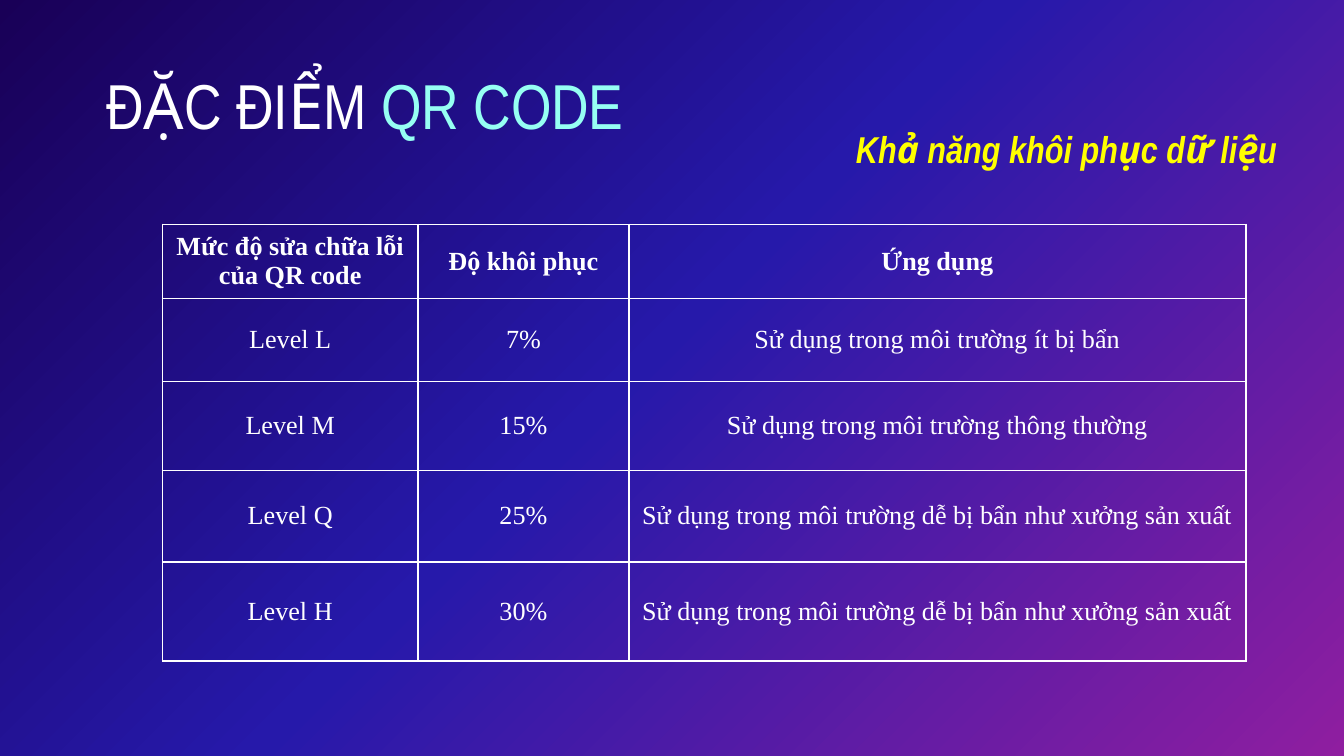
from copy import deepcopy
from lxml.etree import SubElement
from pptx import Presentation
from pptx.dml.color import RGBColor
from pptx.enum.lang import MSO_LANGUAGE_ID
from pptx.enum.text import MSO_ANCHOR, PP_ALIGN
from pptx.oxml.ns import qn
from pptx.util import Inches, Pt

COLORS = {
    "white": "FFFFFF",
    "aqua": "96FFF3",
    "yellow": "FFFF00",
    "night": "190057",
    "blue": "2619AA",
    "purple": "8F1EA0",
}
NARROW = {"name": "Arial Narrow", "language_id": MSO_LANGUAGE_ID.VIETNAMESE}
HEADING = {**NARROW, "size": Pt(34), "bold": False}
SUBTITLE = {**NARROW, "size": Pt(20), "bold": True, "italic": True}
CELL = {"name": "Times New Roman", "size": Pt(14)}


def add_run(paragraph, text, color, formats):
    run = paragraph.add_run()
    run.text = text
    run.font.color.rgb = RGBColor.from_string(COLORS[color])
    for attribute, value in formats.items():
        setattr(run.font, attribute, value)


def set_frame(frame, horizontal, vertical, anchor):
    formats = {
        "margin_left": Inches(horizontal),
        "margin_right": Inches(horizontal),
        "margin_top": Inches(vertical),
        "margin_bottom": Inches(vertical),
        "vertical_anchor": anchor,
    }
    for attribute, value in formats.items():
        setattr(frame, attribute, value)


presentation = Presentation()
presentation.slide_width = Inches(10)
presentation.slide_height = Inches(10) * 9 // 16
slide = presentation.slides.add_slide(presentation.slide_layouts[5])

background = slide.background.fill
background.gradient()
background.gradient_angle = 315
first_stop = slide.background._cSld.find(".//" + qn("a:gs"))
first_stop.addnext(deepcopy(first_stop))
for stop, color, position in zip(
    background.gradient_stops, ("night", "blue", "purple"), (0, 0.48, 1)
):
    stop.color.rgb = RGBColor.from_string(COLORS[color])
    stop.position = position

title = slide.shapes.title
title.left, title.top = Inches(0.79), Inches(0.49)
title.width, title.height = Inches(8.43), Inches(0.63)
set_frame(title.text_frame, 0, 0, MSO_ANCHOR.TOP)
paragraph = title.text_frame.paragraphs[0]
paragraph.alignment = PP_ALIGN.LEFT
add_run(paragraph, "ĐẶC ĐIỂM ", "white", HEADING)
add_run(paragraph, "QR CODE", "aqua", HEADING)

subtitle = slide.shapes.add_textbox(Inches(6.27), Inches(0.84), Inches(3.68), Inches(0.53))
subtitle.text_frame.word_wrap = True
set_frame(subtitle.text_frame, 0.1, 0.1, MSO_ANCHOR.TOP)
add_run(subtitle.text_frame.paragraphs[0], "Khả năng khôi phục dữ liệu", "yellow", SUBTITLE)

rows = [
    ("Mức độ sửa chữa lỗi của QR code", "Độ khôi phục", "Ứng dụng"),
    ("Level L", "7%", "Sử dụng trong môi trường ít bị bẩn"),
    ("Level M", "15%", "Sử dụng trong môi trường thông thường"),
    ("Level Q", "25%", "Sử dụng trong môi trường dễ bị bẩn như xưởng sản xuất"),
    ("Level H", "30%", "Sử dụng trong môi trường dễ bị bẩn như xưởng sản xuất"),
]
column_widths = (1.9, 1.57, 4.59)
row_heights = (0.55, 0.62, 0.66, 0.68, 0.74)
table = slide.shapes.add_table(
    len(rows), len(column_widths), Inches(1.21), Inches(1.67), Inches(8.06), Inches(3.25)
).table
table.first_row = False
table.horz_banding = False
for column, width in zip(table.columns, column_widths):
    column.width = Inches(width)
for row, height in zip(table.rows, row_heights):
    row.height = Inches(height)

for row_index, texts in enumerate(rows):
    for column_index, text in enumerate(texts):
        cell = table.cell(row_index, column_index)
        set_frame(cell, 0.07, 0, MSO_ANCHOR.MIDDLE)
        paragraph = cell.text_frame.paragraphs[0]
        paragraph.alignment = PP_ALIGN.CENTER
        add_run(paragraph, text, "white", {**CELL, "bold": row_index == 0})
        properties = cell._tc.get_or_add_tcPr()
        for side in ("a:lnL", "a:lnR", "a:lnT", "a:lnB"):
            border = SubElement(properties, qn(side), w=str(Pt(1)))
            fill = SubElement(border, qn("a:solidFill"))
            SubElement(fill, qn("a:srgbClr"), val=COLORS["white"])
        cell.fill.background()

presentation.save("out.pptx")
